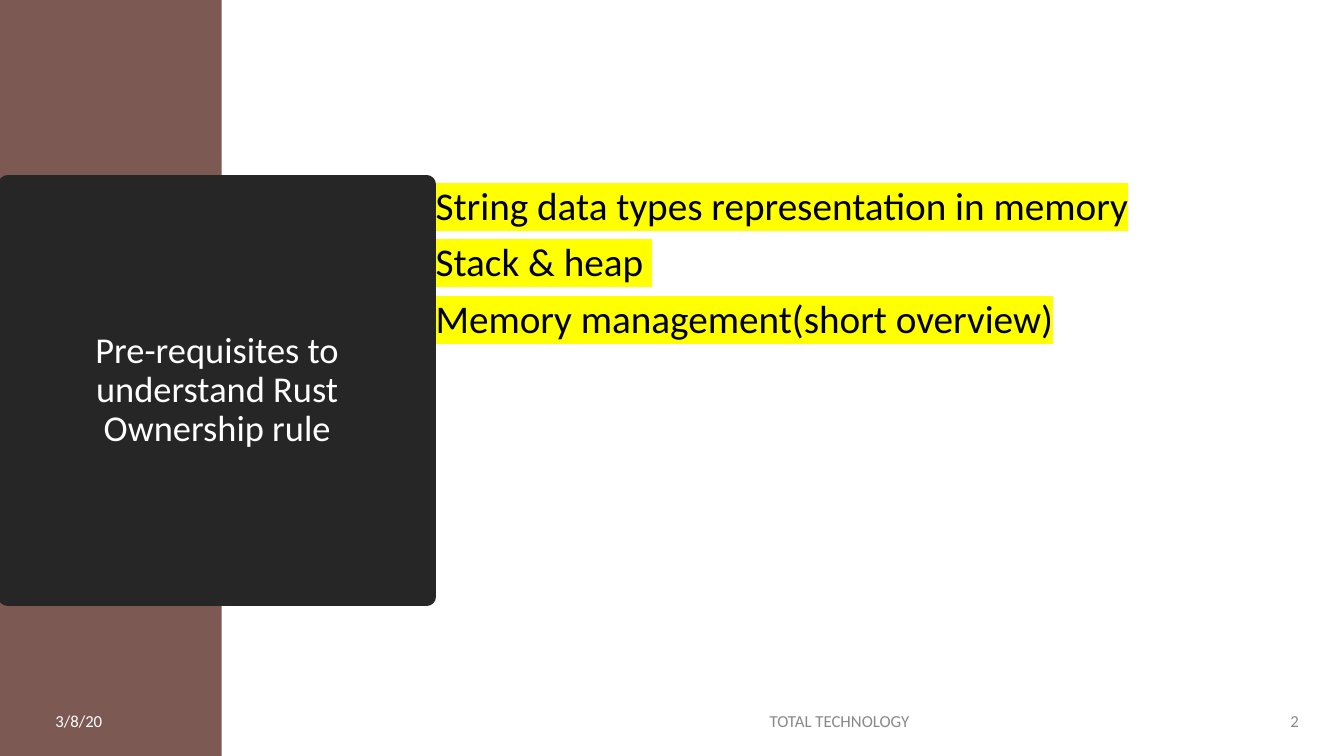
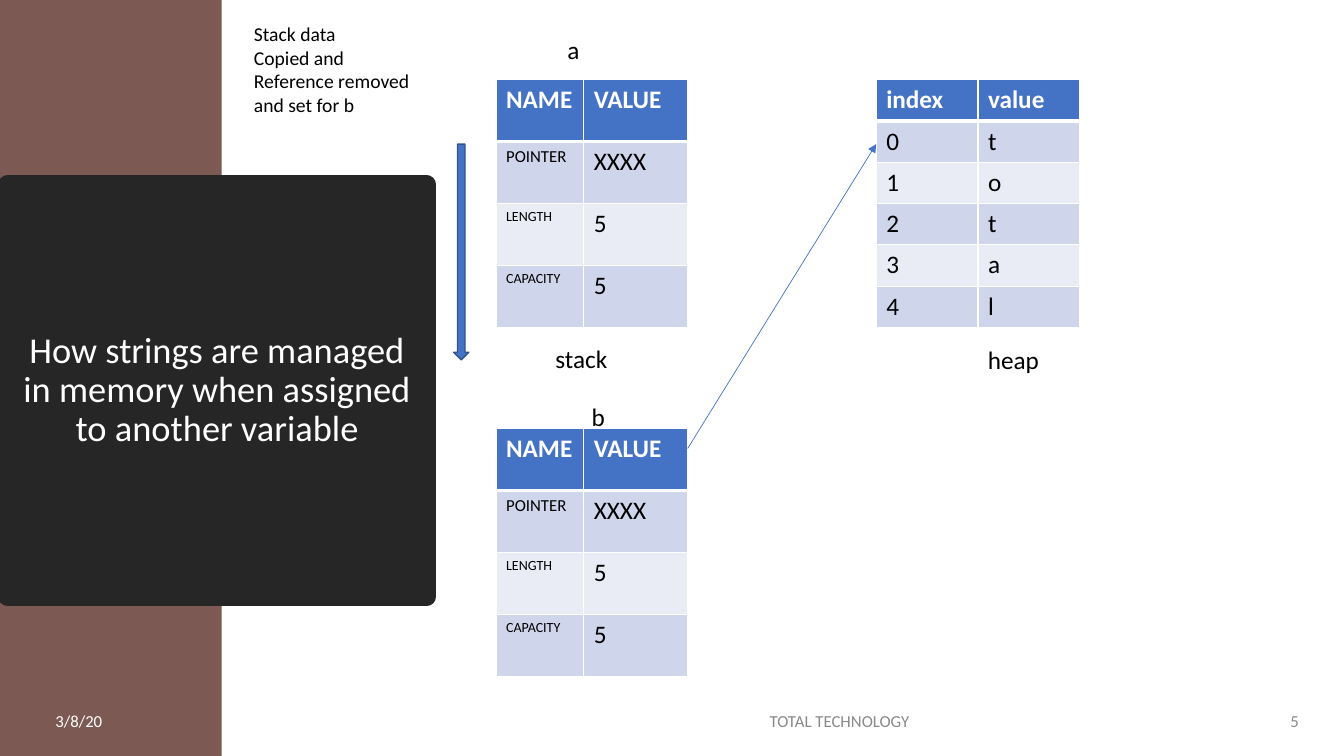
from lxml.etree import SubElement
from pptx import Presentation
from pptx.dml.color import RGBColor
from pptx.enum.shapes import MSO_CONNECTOR as CONNECTOR, MSO_SHAPE as SHAPE
from pptx.enum.text import MSO_ANCHOR as ANCHOR, MSO_AUTO_SIZE as AUTO_SIZE, PP_ALIGN as ALIGN
from pptx.oxml import parse_xml
from pptx.oxml.ns import nsdecls, qn
from pptx.util import Inches, Pt

WIDTH, HEIGHT = 13.33, 7.5
FONT = "Calibri"
BROWN, CHARCOAL, GREY = "7C5952", "262626", "898989"
BLUE, DARK_BLUE = "4472C4", "325491"
STRIPES = ("CFD5EA", "E9EBF5")
WHITE, BLACK, YELLOW = "FFFFFF", "000000", "FFFF00"

TITLE_BOX = (0.08, 1.83, 4.15, 4.09)
LIST_BOX = (4.22, 1.8, 8.76, 3.89)
FOOTER_TOP, FOOTER_HEIGHT = 6.95, 0.4
STACK_LEFT, HEAP_LEFT = 4.92, 8.69
TABLE_TOP, TABLE_HEIGHT = 0.79, 2.46
COPY_TOP = 4.25
STACK_COLUMNS, HEAP_COLUMNS = (0.87, 1.03), (1.01, 1.01)

STACK_ROWS = [
    [("NAME", 18), ("VALUE", 18)],
    [("POINTER", 12), ("XXXX", 18)],
    [("LENGTH", 10), ("5", 18)],
    [("CAPACITY", 10), ("5", 18)],
]
HEAP_ROWS = [[("index", 18), ("value", 18)]] + [
    [(str(index), 18), (letter, 18)] for index, letter in enumerate("total")
]


def rgb(value):
    return RGBColor.from_string(value)


def inches(box):
    return [Inches(length) for length in box]


def place(part, box):
    part.left, part.top, part.width, part.height = inches(box)


def paint(part, fill, line=None, weight=1):
    part.fill.solid()
    part.fill.fore_color.rgb = rgb(fill)
    if line:
        part.line.color.rgb = rgb(line)
        part.line.width = Pt(weight)
    else:
        part.line.fill.background()


def add_run(paragraph, text, size, color, bold=False, highlight=None):
    run = paragraph.add_run()
    run.text = text
    font = run.font
    font.name, font.size, font.bold = FONT, Pt(size), bold
    font.color.rgb = rgb(color)
    if highlight:
        marker = parse_xml(
            f'<a:highlight {nsdecls("a")}><a:srgbClr val="{highlight}"/></a:highlight>')
        run._r.rPr.find(qn("a:solidFill")).addnext(marker)


def write_lines(frame, lines, size, color, align=ALIGN.LEFT, spacing=None,
                before=0, highlight=None):
    frame.word_wrap = True
    frame.auto_size = AUTO_SIZE.NONE
    for number, line in enumerate(lines):
        paragraph = frame.add_paragraph() if number else frame.paragraphs[0]
        paragraph.alignment = align
        paragraph.line_spacing = spacing
        paragraph.space_before = Pt(before if number else 0)
        add_run(paragraph, line, size, color, highlight=highlight)


def add_text(slide, box, lines, size=18, color=BLACK, align=ALIGN.LEFT, anchor=ANCHOR.TOP):
    frame = slide.shapes.add_textbox(*inches(box)).text_frame
    frame.vertical_anchor = anchor
    write_lines(frame, lines, size, color, align)


# Shared frame: side band, title panel and footer
def add_band(slide):
    band = slide.shapes.add_shape(SHAPE.RECTANGLE, *inches((0, 0, 2.2, HEIGHT)))
    band.shadow.inherit = False
    paint(band, BROWN)
    slide.shapes._spTree.insert(2, band._element)  # behind the title


def fill_title(slide, text):
    title = slide.shapes.title
    place(title, TITLE_BOX)
    paint(title, CHARCOAL, CHARCOAL, 13.75)
    SubElement(title.line._get_or_add_ln(), qn("a:round"))
    title.text_frame.vertical_anchor = ANCHOR.MIDDLE
    write_lines(title.text_frame, [text], 26, WHITE, ALIGN.CENTER, 0.9)


def add_footer(slide, number):
    for left, width, text, color, align in (
        (0.45, 1.62, "3/8/20", WHITE, ALIGN.LEFT),
        (4.5, 7.69, "TOTAL TECHNOLOGY ", GREY, ALIGN.CENTER),
        (12.37, 0.61, number, GREY, ALIGN.RIGHT),
    ):
        add_text(slide, (left, FOOTER_TOP, width, FOOTER_HEIGHT), [text], 12,
                 color, align, ANCHOR.MIDDLE)


def add_slide(deck, layout, title, number):
    slide = deck.slides.add_slide(deck.slide_layouts.get_by_name(layout))
    add_band(slide)
    fill_title(slide, title)
    add_footer(slide, number)
    return slide


# Tables
def set_borders(cell, row):
    weights = {"L": 1, "R": 1, "T": 3 if row == 1 else 1, "B": 3 if row == 0 else 1}
    for side, weight in weights.items():
        cell._tc.get_or_add_tcPr().append(parse_xml(
            f'<a:ln{side} {nsdecls("a")} w="{Pt(weight)}"><a:solidFill>'
            f'<a:srgbClr val="{WHITE}"/></a:solidFill></a:ln{side}>'))


def add_memory_table(slide, left, top, columns, rows, captions):
    """Place a table, and its captions by their offset from its corner."""
    box = (left, top, sum(columns), TABLE_HEIGHT)
    table = slide.shapes.add_table(len(rows), len(columns), *inches(box)).table
    for column, width in zip(table.columns, columns):
        column.width = Inches(width)
    for row, fields in enumerate(rows):
        table.rows[row].height = Inches(TABLE_HEIGHT / len(rows))
        for column, (text, size) in enumerate(fields):
            cell = table.cell(row, column)
            set_borders(cell, row)
            cell.fill.solid()
            cell.fill.fore_color.rgb = rgb(STRIPES[(row - 1) % 2] if row else BLUE)
            add_run(cell.text_frame.paragraphs[0], text, size,
                    BLACK if row else WHITE, bold=row == 0)
    for text, across, down in captions:
        add_text(slide, (left + across, top + down, 0.72, 0.4), [text])


# Arrows
def add_pointer(slide, start, end):
    pointer = slide.shapes.add_connector(CONNECTOR.STRAIGHT, *inches(start + end))
    pointer.line.color.rgb = rgb(BLUE)
    pointer.line.width = Pt(0.5)
    SubElement(pointer.line._get_or_add_ln(), qn("a:tailEnd"), type="triangle")
    SubElement(pointer._element.spPr, qn("a:effectLst"))


def add_copy_arrow(slide, box):
    arrow = slide.shapes.add_shape(SHAPE.DOWN_ARROW, *inches(box))
    arrow.shadow.inherit = False
    paint(arrow, BLUE, DARK_BLUE)


# Slides
def build_prerequisites(deck):
    slide = add_slide(deck, "Title and Content",
                      "Pre-requisites to understand Rust Ownership rule", "2")
    topics = slide.placeholders[1]
    place(topics, LIST_BOX)
    write_lines(topics.text_frame,
                ["String data types representation in memory", "Stack & heap ",
                 "Memory management(short overview)"],
                28, BLACK, spacing=0.9, before=10, highlight=YELLOW)
    for paragraph in topics.text_frame.paragraphs:
        properties = paragraph._p.get_or_add_pPr()
        properties.set("marL", "0")
        properties.set("indent", "0")
        SubElement(properties, qn("a:buNone"))


def build_assignment(deck):
    slide = add_slide(deck, "Title Only",
                      "How strings are managed in memory when assigned to another variable", "5")
    add_memory_table(slide, STACK_LEFT, TABLE_TOP, STACK_COLUMNS, STACK_ROWS,
                     [("a", 0.61, -0.5), ("stack", 0.49, 2.57)])
    add_memory_table(slide, HEAP_LEFT, TABLE_TOP, HEAP_COLUMNS, HEAP_ROWS,
                     [("heap", 1.01, 2.58)])
    add_memory_table(slide, STACK_LEFT, COPY_TOP, STACK_COLUMNS, STACK_ROWS,
                     [("b", 0.85, -0.32)])
    add_pointer(slide, (STACK_LEFT + sum(STACK_COLUMNS), 4.45), (HEAP_LEFT, 1.43))
    add_copy_arrow(slide, (4.5, 1.43, 0.15, 2.14))
    add_text(slide, (2.42, 0.17, 2.03, 1.65),
             ["Stack data", "Copied and", "Reference removed and set for b"], 14)


def main():
    deck = Presentation()
    deck.slide_width, deck.slide_height = Inches(WIDTH), Inches(HEIGHT)
    build_prerequisites(deck)
    build_assignment(deck)
    deck.save("out.pptx")


if __name__ == "__main__":
    main()
